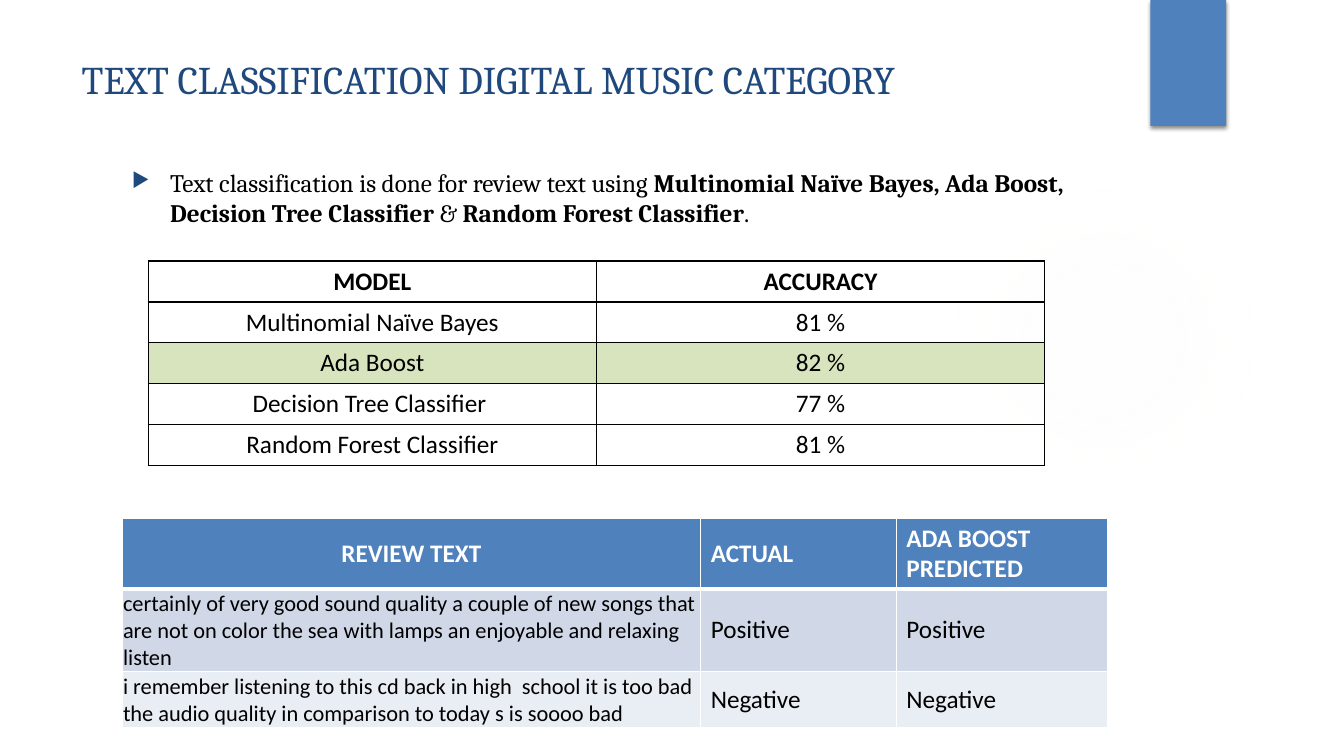
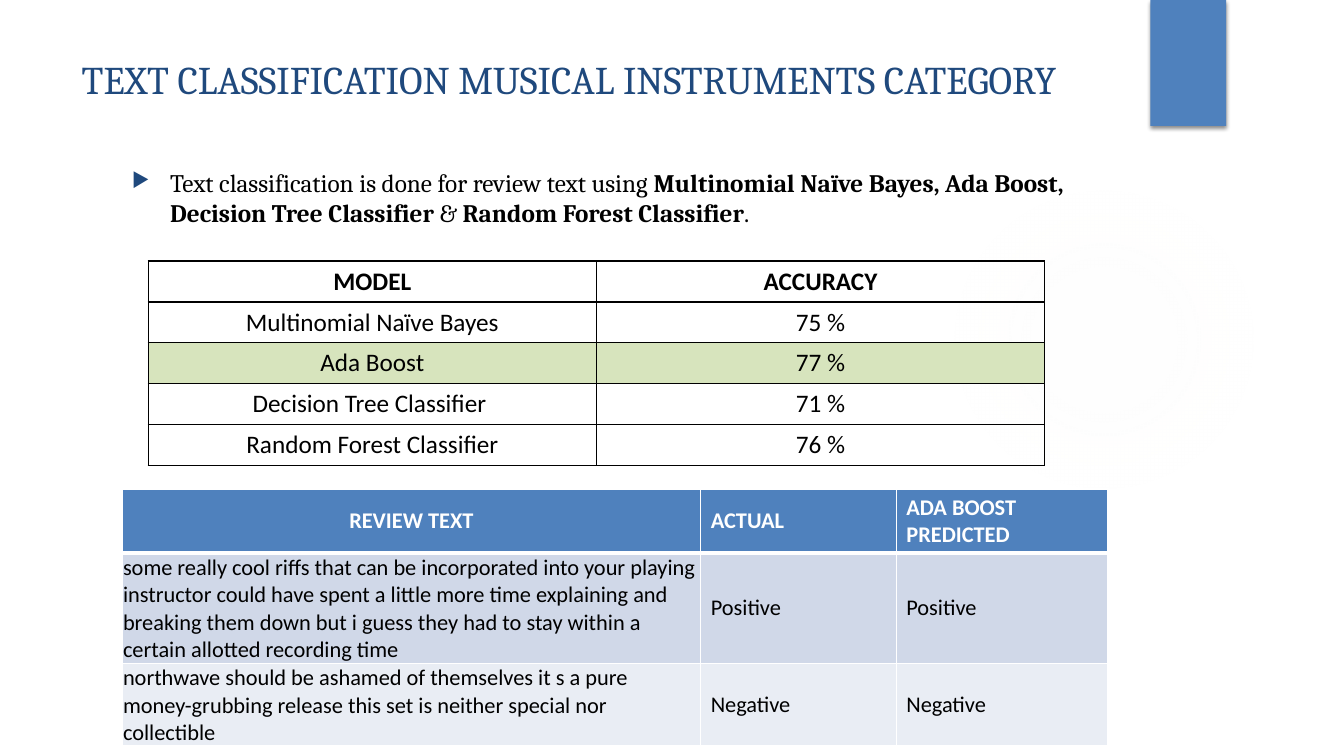
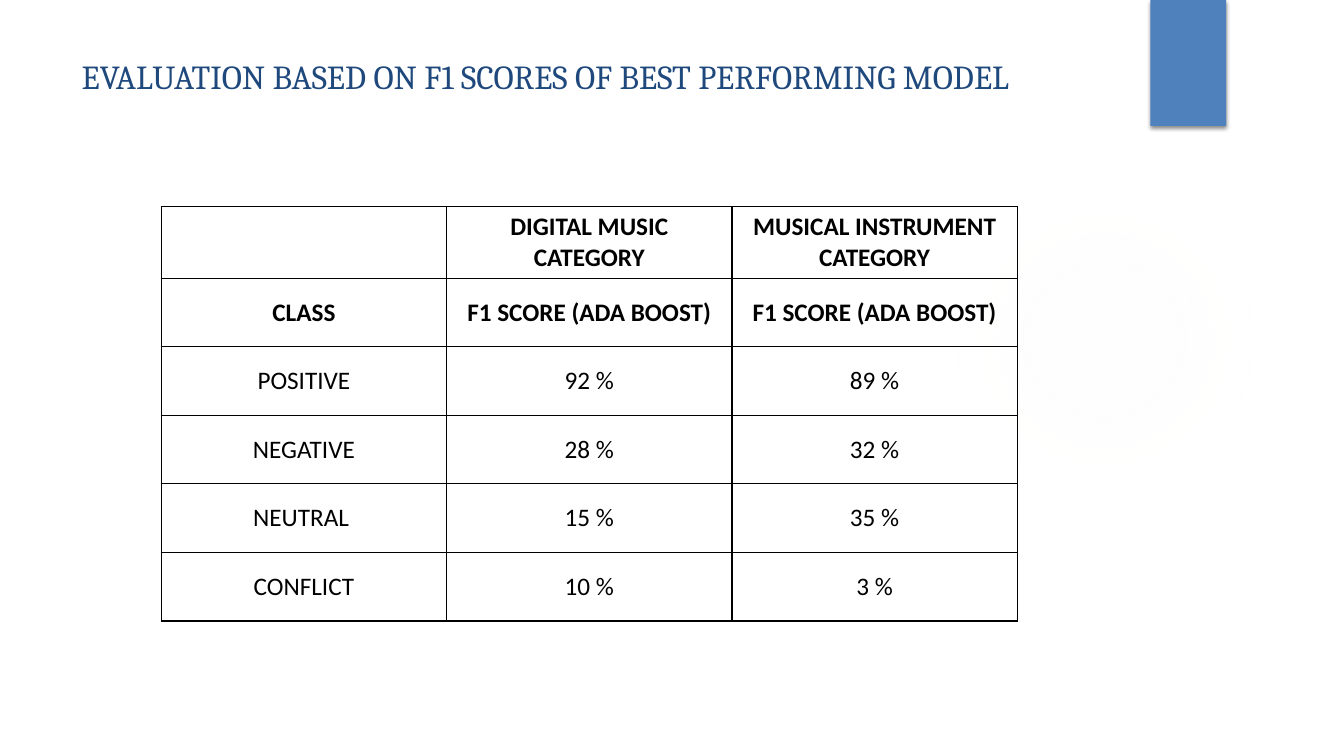
from dataclasses import dataclass

from lxml import etree
from pptx import Presentation
from pptx.dml.color import RGBColor
from pptx.enum.shapes import MSO_SHAPE
from pptx.enum.text import MSO_ANCHOR, MSO_AUTO_SIZE, PP_ALIGN
from pptx.oxml import parse_xml
from pptx.oxml.ns import nsdecls, qn
from pptx.util import Emu, Inches, Pt

ELLIPSE, RECTANGLE = MSO_SHAPE.OVAL, MSO_SHAPE.RECTANGLE
TOP, MIDDLE, BOTTOM = MSO_ANCHOR.TOP, MSO_ANCHOR.MIDDLE, MSO_ANCHOR.BOTTOM
LEFT, CENTER = PP_ALIGN.LEFT, PP_ALIGN.CENTER
NO_AUTOFIT = MSO_AUTO_SIZE.NONE

WIDTH, HEIGHT = Inches(13.33), Inches(7.5)
TITLE_ONLY = 5
SERIF, SANS = "Cambria", "Calibri"
COLORS = {
    "title": "1F497D",
    "accent": "4F81BD",
    "black": "000000",
    "white": "FFFFFF",
    "best": "D7E4BD",
    "band_dark": "D0D8E8",
    "band_light": "E9EDF4",
    "glow": "F5F4ED",
}
GLOW_STOPS = ((0, 7), (36, 6), (69, 0))


@dataclass(frozen=True)
class Box:
    """Left, top, width and height as percent of the slide."""

    left: float
    top: float
    width: float
    height: float

    def lengths(self) -> tuple[Emu, Emu, Emu, Emu]:
        return (
            Emu(round(WIDTH * self.left / 100)),
            Emu(round(HEIGHT * self.top / 100)),
            Emu(round(WIDTH * self.width / 100)),
            Emu(round(HEIGHT * self.height / 100)),
        )


@dataclass(frozen=True)
class TextStyle:
    size: float
    color: str = "black"
    bold: bool = False
    font: str = SANS


@dataclass(frozen=True)
class CellStyle:
    text: TextStyle
    fill: str | None = None
    align: PP_ALIGN = CENTER
    anchor: MSO_ANCHOR = MIDDLE
    tight: bool = False


@dataclass(frozen=True)
class Edges:
    color: str
    top: float = 1
    bottom: float = 1


@dataclass(frozen=True)
class ReviewTable:
    box: Box
    row_shares: tuple[float, ...]
    header_size: float
    label_size: float
    review_anchor: MSO_ANCHOR
    positive: str
    negative: str


@dataclass(frozen=True)
class CategorySlide:
    title: str
    title_height: float
    accuracies: tuple[str, ...]
    reviews: ReviewTable


GLOW_BOX = Box(70.59, 24.4, 23.11, 41.07)
BAND_BOX = Box(85.6, 0, 5.63, 16.67)
BODY_BOX = Box(9.08, 21.47, 73.37, 11.73)
MODEL_BOX = Box(11.03, 34.53, 66.69, 27.07)
SCORE_BOX = Box(12, 27.33, 63.69, 54.4)
REVIEW_COLUMNS = (5.74, 1.94, 2.1)
MODELS = (
    "Multinomial Naïve Bayes",
    "Ada Boost",
    "Decision Tree Classifier ",
    "Random Forest Classifier",
)
BEST_MODEL = "Ada Boost"
BODY_RUNS = (
    ("Text classification is done for review text using ", False),
    ("Multinomial Naïve Bayes, Ada Boost, Decision Tree Classifier", True),
    (" & ", False),
    ("Random Forest Classifier", True),
    (".", False),
)
CATEGORIES = (
    CategorySlide(
        "TEXT CLASSIFICATION DIGITAL MUSIC CATEGORY",
        11.73,
        ("81 %", "82 %", "77 %", "81 %"),
        ReviewTable(
            Box(9.08, 68.53, 73.37, 27.6),
            (0.69, 0.82, 0.55),
            18,
            18,
            MIDDLE,
            "certainly of very good sound quality a couple of new songs that are "
            "not on color the sea with lamps an enjoyable and relaxing listen",
            "i remember listening to this cd back in high  school it is too bad "
            "the audio quality in comparison to today s is soooo bad",
        ),
    ),
    CategorySlide(
        "TEXT CLASSIFICATION MUSICAL INSTRUMENTS CATEGORY",
        9.87,
        ("75 %", "77 %", "71 %", "76 %"),
        ReviewTable(
            Box(9.08, 64.67, 73.37, 30.4),
            (0.63, 1.1, 0.55),
            16,
            16,
            BOTTOM,
            "some really cool riffs that can be incorporated into your playing "
            "instructor could have spent a little more time explaining and breaking "
            "them down but i guess they had to stay within a certain allotted "
            "recording time",
            "northwave should be ashamed of themselves it s a pure money-grubbing "
            "release this set is neither special nor collectible",
        ),
    ),
)
SCORES = (
    ("", "DIGITAL MUSIC CATEGORY", "MUSICAL INSTRUMENT CATEGORY"),
    ("CLASS", "F1 SCORE (ADA BOOST)", "F1 SCORE (ADA BOOST)"),
    ("POSITIVE", "92 %", "89 %"),
    ("NEGATIVE", "28 %", "32 %"),
    ("NEUTRAL ", "15 %", "35 %"),
    ("CONFLICT", "10 %", "3 %"),
)


def rgb(name: str) -> RGBColor:
    return RGBColor.from_string(COLORS[name])


def add_run(paragraph, text: str, style: TextStyle) -> None:
    run = paragraph.add_run()
    run.text = text
    run.font.name = style.font
    run.font.size = Pt(style.size)
    run.font.bold = style.bold
    run.font.color.rgb = rgb(style.color)


def add_plain_shape(slide, kind: MSO_SHAPE, box: Box):
    shape = slide.shapes.add_shape(kind, *box.lengths())
    shape.shadow.inherit = False
    shape.line.fill.background()
    return shape


def add_glow(slide) -> None:
    shape = add_plain_shape(slide, ELLIPSE, GLOW_BOX)
    shape.fill.background()
    stops = "".join(
        f'<a:gs pos="{position * 1000}"><a:srgbClr val="{COLORS["glow"]}">'
        f'<a:alpha val="{opacity * 1000}"/></a:srgbClr></a:gs>'
        for position, opacity in GLOW_STOPS
    )
    gradient = parse_xml(
        f'<a:gradFill {nsdecls("a")}><a:gsLst>{stops}</a:gsLst><a:path path="circle">'
        '<a:fillToRect l="50000" t="50000" r="50000" b="50000"/></a:path></a:gradFill>'
    )
    properties = shape._element.spPr
    properties.replace(properties.find(qn("a:noFill")), gradient)


def add_band(slide) -> None:
    shape = add_plain_shape(slide, RECTANGLE, BAND_BOX)
    shape.fill.solid()
    shape.fill.fore_color.rgb = rgb("accent")
    shape._element.spPr.find(qn("a:effectLst")).append(
        parse_xml(
            f'<a:outerShdw {nsdecls("a")} blurRad="{Pt(3)}" dist="{Pt(2)}" '
            f'dir="5400000" rotWithShape="0"><a:srgbClr val="{COLORS["black"]}">'
            '<a:alpha val="45000"/></a:srgbClr></a:outerShdw>'
        )
    )


def add_base_slide(presentation, title: str, height: float, size: float):
    slide = presentation.slides.add_slide(presentation.slide_layouts[TITLE_ONLY])
    add_glow(slide)
    add_band(slide)
    shape = slide.shapes.title
    shape.left, shape.top, shape.width, shape.height = Box(
        5.33, 6.67, 77.19, height
    ).lengths()
    frame = shape.text_frame
    frame.word_wrap = True
    frame.auto_size = NO_AUTOFIT
    frame.vertical_anchor = TOP
    paragraph = frame.paragraphs[0]
    paragraph.alignment = LEFT
    add_run(paragraph, title, TextStyle(size, "title", font=SERIF))
    return slide


def add_body(slide) -> None:
    frame = slide.shapes.add_textbox(*BODY_BOX.lengths()).text_frame
    frame.word_wrap = True
    paragraph = frame.paragraphs[0]
    paragraph.space_before = Pt(10)
    properties = paragraph._p.get_or_add_pPr()
    indent = Inches(0.38)
    properties.set("marL", str(indent))
    properties.set("indent", str(-indent))
    color = etree.SubElement(properties, qn("a:buClr"))
    etree.SubElement(color, qn("a:srgbClr"), val=COLORS["title"])
    etree.SubElement(properties, qn("a:buSzPct"), val="80000")
    etree.SubElement(properties, qn("a:buChar"), char="▶")
    for text, bold in BODY_RUNS:
        add_run(paragraph, text, TextStyle(18, bold=bold, font=SERIF))


def set_edges(cell, edges: Edges) -> None:
    widths = {"lnL": 1, "lnR": 1, "lnT": edges.top, "lnB": edges.bottom}
    properties = cell._tc.get_or_add_tcPr()
    for index, (side, width) in enumerate(widths.items()):
        properties.insert(
            index,
            parse_xml(
                f'<a:{side} {nsdecls("a")} w="{Pt(width)}"><a:solidFill>'
                f'<a:srgbClr val="{COLORS[edges.color]}"/></a:solidFill></a:{side}>'
            ),
        )


def format_cell(cell, text: str, style: CellStyle, edges: Edges) -> None:
    if style.fill:
        cell.fill.solid()
        cell.fill.fore_color.rgb = rgb(style.fill)
    else:
        cell.fill.background()
    cell.vertical_anchor = style.anchor
    if style.tight:
        cell.margin_left = cell.margin_right = cell.margin_top = Inches(0.01)
        cell.margin_bottom = 0
    paragraph = cell.text_frame.paragraphs[0]
    paragraph.alignment = style.align
    if text:
        add_run(paragraph, text, style.text)
    set_edges(cell, edges)


def add_grid(slide, box: Box, column_shares, row_shares):
    lengths = box.lengths()
    table = slide.shapes.add_table(
        len(row_shares), len(column_shares), *lengths
    ).table
    table.first_row = False
    table.horz_banding = False
    for column, share in zip(table.columns, column_shares):
        column.width = Emu(round(lengths[2] * share / sum(column_shares)))
    for row, share in zip(table.rows, row_shares):
        row.height = Emu(round(lengths[3] * share / sum(row_shares)))
    return table


def add_outlined_table(slide, box: Box, rows, header_rows: int) -> None:
    table = add_grid(slide, box, (1,) * len(rows[0]), (1,) * len(rows))
    for row_index, texts in enumerate(rows):
        fill = "best" if texts[0] == BEST_MODEL else None
        style = CellStyle(TextStyle(18, bold=row_index < header_rows), fill)
        for column_index, text in enumerate(texts):
            format_cell(
                table.cell(row_index, column_index), text, style, Edges("black")
            )


def add_review_table(slide, reviews: ReviewTable) -> None:
    table = add_grid(slide, reviews.box, REVIEW_COLUMNS, reviews.row_shares)
    header_text = TextStyle(reviews.header_size, "white", True)
    rows = (
        ("accent", Edges("white", bottom=3), ("REVIEW TEXT", "ACTUAL", "ADA BOOST PREDICTED")),
        ("band_dark", Edges("white", top=3), (reviews.positive, "Positive", "Positive")),
        ("band_light", Edges("white"), (reviews.negative, "Negative", "Negative")),
    )
    for row_index, (fill, edges, texts) in enumerate(rows):
        for column_index, text in enumerate(texts):
            is_first = column_index == 0
            if row_index == 0:
                style = CellStyle(header_text, fill, CENTER if is_first else LEFT)
            elif is_first:
                style = CellStyle(
                    TextStyle(16), fill, LEFT, reviews.review_anchor, True
                )
            else:
                style = CellStyle(TextStyle(reviews.label_size), fill, LEFT)
            format_cell(table.cell(row_index, column_index), text, style, edges)


def add_category_slide(presentation, category: CategorySlide) -> None:
    slide = add_base_slide(presentation, category.title, category.title_height, 28)
    add_body(slide)
    rows = (("MODEL", "ACCURACY"), *zip(MODELS, category.accuracies))
    add_outlined_table(slide, MODEL_BOX, rows, 1)
    add_review_table(slide, category.reviews)


def add_score_slide(presentation) -> None:
    slide = add_base_slide(
        presentation,
        "EVALUATION BASED ON F1 SCORES OF BEST PERFORMING MODEL",
        10.13,
        24,
    )
    add_outlined_table(slide, SCORE_BOX, SCORES, 2)


def main() -> None:
    presentation = Presentation()
    presentation.slide_width, presentation.slide_height = WIDTH, HEIGHT
    for category in CATEGORIES:
        add_category_slide(presentation, category)
    add_score_slide(presentation)
    presentation.save("out.pptx")


if __name__ == "__main__":
    main()
